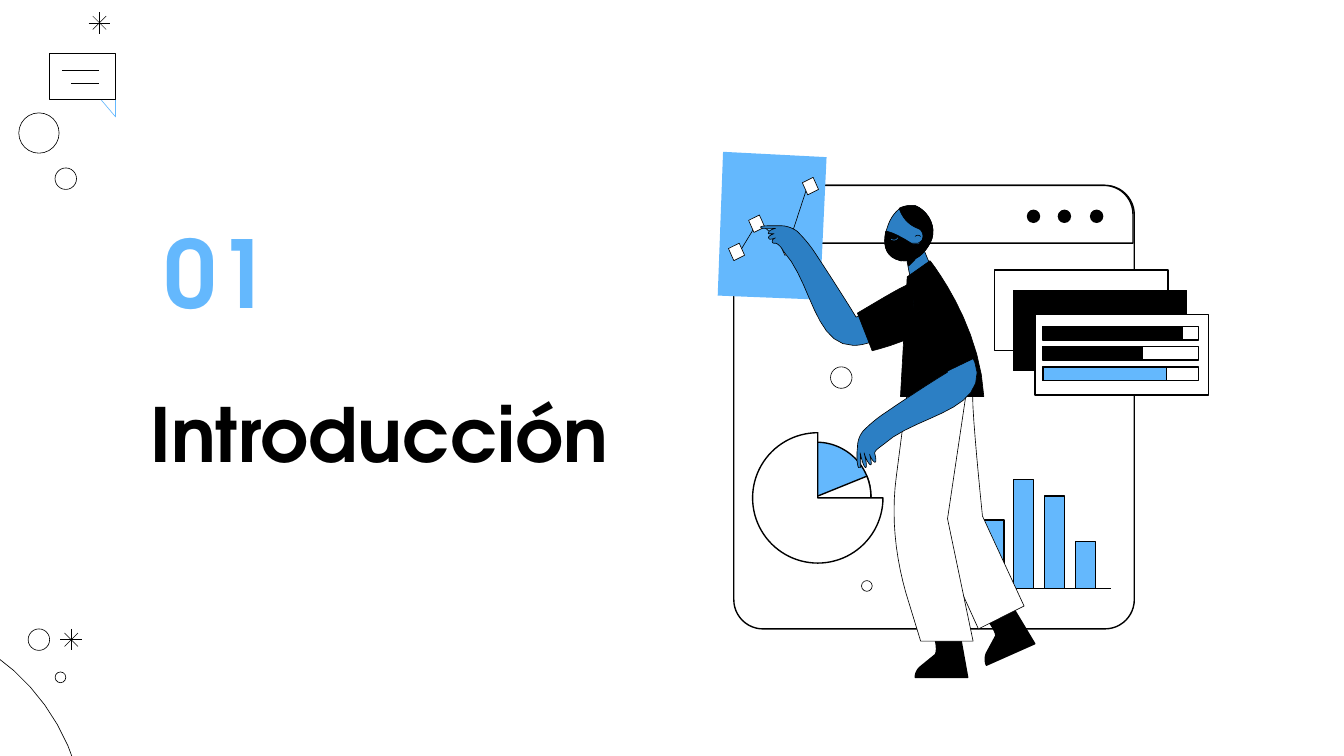
"""Builds the "Introducción" section slide with its analyst illustration."""
from lxml import etree
from pptx import Presentation
from pptx import util as u
from pptx.dml import color
from pptx.enum import shapes, text
from pptx.oxml import ns

BLACK, WHITE, SKY, SKIN = "000000", "FFFFFF", "64B8FD", "2C7FC4"
HAIR, THIN, BOLD = 0.25, 0.34, 0.75
KIND = shapes.MSO_SHAPE


def rgb(value):
    return color.RGBColor.from_string(value)


def trace(outline, steps=10):
    """Turn groups of two numbers (line) or six (cubic curve) into points."""
    points = []
    for group in outline.split():
        n = [float(v) for v in group.split(",")]
        if len(n) == 2:
            points.append(tuple(n))
            continue
        start, pulls = points[-1], (n[:2], n[2:4], n[4:])
        for step in range(1, steps + 1):
            t = step / steps
            weights = ((1 - t) ** 3, 3 * t * (1 - t) ** 2, 3 * t * t * (1 - t), t ** 3)
            points.append(tuple(sum(w * p[axis] for w, p in zip(weights, (start, *pulls)))
                                for axis in (0, 1)))
    return [(u.Inches(x), u.Inches(y)) for x, y in points]


class Sketch:
    """Draws styled elements on the current slide."""

    def __init__(self, slide, font="TeX Gyre Adventor"):
        self.slide, self.font = slide, font

    def finish(self, shape, fill, line, width):
        shape.shadow.inherit = False
        if fill:
            shape.fill.solid()
            shape.fill.fore_color.rgb = rgb(fill)
        else:
            shape.fill.background()
        if line:
            shape.line.color.rgb = rgb(line)
            shape.line.width = u.Pt(width)
        else:
            shape.line.fill.background()

    def shape(self, kind, box, fill=None, line=BLACK, width=BOLD, adjust=()):
        shape = self.slide.shapes.add_shape(kind, *map(u.Inches, box))
        for index, value in enumerate(adjust):
            shape.adjustments[index] = value
        self.finish(shape, fill, line, width)

    def circle(self, left, top, size, fill=None, line=BLACK):
        self.shape(KIND.OVAL, (left, top, size, size), fill, line, THIN)

    def outline(self, outline, fill=None, line=BLACK, width=THIN):
        start, *rest = trace(outline)
        builder = self.slide.shapes.build_freeform(*start, scale=1.0)
        builder.add_line_segments(rest, close=fill is not None)
        self.finish(builder.convert_to_shape(), fill, line, width)

    def line(self, x1, y1, x2, y2, width=THIN):
        line = self.slide.shapes.add_connector(
            shapes.MSO_CONNECTOR.STRAIGHT, *map(u.Inches, (x1, y1, x2, y2)))
        line.line.color.rgb = rgb(BLACK)
        line.line.width = u.Pt(width)
        etree.SubElement(line._element.spPr, ns.qn("a:effectLst"))

    def star(self, x, y):
        for dx, dy in ((0, 0.08), (0.08, 0), (0.05, 0.05), (0.05, -0.05)):
            self.line(x - dx, y - dy, x + dx, y + dy, HAIR)

    def heading(self, words, box, size, ink, align):
        frame = self.slide.shapes.add_textbox(*map(u.Inches, box)).text_frame
        frame.word_wrap = True
        frame.vertical_anchor = text.MSO_ANCHOR.MIDDLE
        frame.margin_left = frame.margin_right = u.Inches(0.1)
        frame.margin_top = frame.margin_bottom = u.Inches(0.1)
        paragraph = frame.paragraphs[0]
        paragraph.alignment = align
        run = paragraph.add_run()
        run.text = words
        run.font.name, run.font.size, run.font.bold = self.font, u.Pt(size), True
        run.font.color.rgb = rgb(ink)


def draw_margin(sketch):
    for left, top, size in ((0.21, 4.68, 0.16), (0.41, 5, 0.08),
                            (0.41, 1.25, 0.16), (0.14, 0.84, 0.3)):
        sketch.circle(left, top, size)
    sketch.star(0.53, 4.76)
    sketch.star(0.74, 0.17)
    sketch.outline("0.63,6.05 0.59,5.47,0.2,4.93,-0.33,4.72")
    sketch.outline("0.86,0.87 0.75,0.74 0.86,0.74 0.86,0.87", line=SKY)
    sketch.shape(KIND.RECTANGLE, (0.37, 0.4, 0.49, 0.34), width=THIN)
    sketch.line(0.46, 0.52, 0.74, 0.52)
    sketch.line(0.53, 0.62, 0.74, 0.62)


def draw_window(sketch):
    sketch.shape(KIND.ROUNDED_RECTANGLE, (5.46, 1.38, 2.98, 3.3), WHITE, adjust=(0.073,))
    sketch.shape(KIND.ROUND_2_SAME_RECTANGLE, (5.45, 1.38, 2.98, 0.43), WHITE, adjust=(0.5, 0))
    for left in (7.64, 7.87, 8.11):
        sketch.circle(left, 1.56, 0.1, BLACK, None)

    floor = 4.38
    sketch.outline(f"7.19,3.41 7.19,{floor} 8.27,{floor}", width=BOLD)
    for left, height in ((7.32, 0.51), (7.54, 0.81), (7.77, 0.69), (8, 0.35)):
        sketch.shape(KIND.RECTANGLE, (left, floor - height, 0.15, height), SKY)

    sketch.outline("5.38,1.13 5.34,2.2 6.1,2.23 6.15,1.17", SKY, None)
    sketch.outline("5.5,1.88 5.64,1.65 5.86,1.84 6.01,1.38")
    for x, y in ((5.42, 1.81), (5.57, 1.6), (5.8, 1.77), (5.97, 1.32)):
        corners = ((0.08, 0), (0, 0.04), (0.04, 0.13), (0.12, 0.09))
        sketch.outline(" ".join(f"{x + dx:.2f},{y + dy:.2f}" for dx, dy in corners), WHITE)

    for left, top, size, fill, angles in (
            (5.67, 3.29, 0.81, SKY, (156.927, 36.804)),
            (5.67, 3.29, 0.81, WHITE, (202.791, 36.804)),
            (5.6, 3.22, 0.97, WHITE, (0, 162))):
        sketch.shape(KIND.PIE, (left, top, size, size), fill, adjust=angles)

    for left, top, fill in ((7.4, 2.01, WHITE), (7.54, 2.16, BLACK), (7.7, 2.34, WHITE)):
        sketch.shape(KIND.RECTANGLE, (left, top, 1.29, 0.6), fill)
    for index, (done, fill) in enumerate(((1.04, BLACK), (0.74, BLACK), (0.92, SKY))):
        for width, shade in ((1.16, WHITE), (done, fill)):
            sketch.shape(KIND.RECTANGLE, (7.76, 2.43 + 0.15 * index, width, 0.1), shade)

    sketch.circle(6.18, 2.73, 0.16)
    sketch.circle(6.41, 4.32, 0.08)


def draw_analyst(sketch):
    far_shoe = ("7.49,4.44 7.3,4.55 7.3,4.55,7.41,4.68,7.41,4.73 7.34,4.86 "
                "7.32,4.91,7.34,4.95,7.34,4.95 7.7,4.79")
    far_leg = "6.98,2.91 6.94,3.93 7.28,4.68 7.62,4.51 7.31,3.84 7.31,3.84,7.22,2.97,7.24,2.91"
    near_shoe = ("7.13,4.65 6.93,4.66 6.93,4.66,6.99,4.82,6.96,4.87 6.85,4.96 "
                 "6.81,4.99,6.81,5.04,6.81,5.04 7.2,5.04")
    near_leg = ("6.75,2.92 6.67,3.54 6.63,3.83,6.66,4.13,6.74,4.41 6.85,4.77 7.24,4.77 "
                "7.05,3.86 7.19,2.92")
    neck = "6.85,1.8 6.74,1.9 6.79,2.16 6.99,2.14"
    neck_shade = "6.81,1.93 6.75,1.93 6.76,1.98"
    skull = ("6.74,1.94 6.81,1.94,6.87,1.9,6.92,1.81 6.98,1.7,6.91,1.57,6.81,1.53 "
             "6.79,1.53,6.78,1.53,6.77,1.53")
    head = ("6.77,1.53 6.69,1.53,6.63,1.6,6.6,1.7 6.58,1.76,6.55,1.9,6.7,1.94 "
            f"6.72,1.94,6.73,1.94,{skull}")
    hair = ("6.77,1.53 6.74,1.53,6.71,1.54,6.69,1.55 6.71,1.61,6.75,1.67,6.83,1.7 "
            "6.89,1.72,6.87,1.82,6.82,1.82 6.81,1.82,6.79,1.82,6.78,1.81 "
            "6.78,1.81,6.66,1.73,6.59,1.72 6.58,1.78,6.56,1.91,6.7,1.94 "
            f"6.72,1.94,6.73,1.94,{skull}")
    mouth = "6.63,1.78 6.63,1.78,6.66,1.8,6.68,1.77"
    ear = ("6.78,1.81 6.8,1.81,6.81,1.81,6.83,1.81 6.87,1.79,6.89,1.76,6.88,1.73 "
           "6.87,1.71,6.85,1.7,6.83,1.7")
    ear_fold = "6.81,1.76 6.81,1.76,6.83,1.74,6.85,1.76"
    raised_arm = (
        "5.76,1.68 5.71,1.68,5.66,1.68,5.66,1.69 5.66,1.7,5.68,1.7,5.71,1.7 5.77,1.7 "
        "5.77,1.7,5.72,1.71,5.72,1.73 5.71,1.74,5.72,1.74,5.73,1.74 5.76,1.74 "
        "5.75,1.74,5.71,1.76,5.72,1.77 5.72,1.77,5.72,1.78,5.73,1.78 "
        "5.75,1.78,5.77,1.77,5.77,1.77 5.74,1.78,5.74,1.81,5.76,1.81 5.77,1.81 "
        "5.78,1.81,5.81,1.83,5.83,1.87 6.04,2.1,6.06,2.57,6.35,2.57 "
        "6.4,2.57,6.43,2.56,6.47,2.55 6.92,2.36 6.96,2.35,6.99,2.32,7.01,2.27 "
        "7.03,2.21,7,2.17,6.96,2.14 6.93,2.12,6.9,2.11,6.87,2.11 "
        "6.84,2.11,6.82,2.12,6.79,2.13 6.37,2.36 6.23,2.13,6.05,1.86,6.05,1.86 "
        "6,1.79,5.96,1.75,5.93,1.72 5.9,1.7,5.86,1.68,5.81,1.68")
    far_sleeve = ("6.92,2.07 6.8,2.07,6.62,2.19,6.38,2.33 6.49,2.61 "
                  "6.49,2.61,7.1,2.47,7.05,2.21 7.03,2.11,6.98,2.07,6.92,2.07")
    shirt = "6.92,1.94 6.75,2.06 6.7,2.95 7.32,2.95 7.29,2.4,6.92,1.94,6.92,1.94"
    lowered_arm = (
        "6.92,2.12 6.88,2.12,6.85,2.15,6.82,2.18 6.79,2.23,6.79,2.29,6.82,2.34 7.05,2.77 "
        "6.82,2.91,6.56,3.09,6.56,3.09 6.49,3.14,6.45,3.18,6.42,3.21 "
        "6.39,3.25,6.38,3.29,6.38,3.33 6.37,3.4,6.38,3.48,6.39,3.48 6.4,3.48 "
        "6.41,3.48,6.4,3.37,6.4,3.37 6.4,3.37,6.42,3.47,6.44,3.48 "
        "6.46,3.48,6.43,3.38,6.43,3.37 6.43,3.38,6.46,3.46,6.48,3.46 "
        "6.49,3.45,6.47,3.38,6.47,3.38 6.48,3.41,6.5,3.44,6.51,3.44 "
        "6.52,3.44,6.52,3.42,6.51,3.38 6.5,3.36,6.53,3.34,6.57,3.31 "
        "6.8,3.1,7.28,3.07,7.27,2.77 7.26,2.74,7.26,2.7,7.24,2.67 7.05,2.21 "
        "7.03,2.17,7,2.14,6.95,2.13 6.94,2.12,6.93,2.12,6.92,2.12")
    near_sleeve = ("6.91,2.1 6.9,2.1,6.88,2.1,6.87,2.11 6.66,2.22,6.97,2.8,6.97,2.8 "
                   "7.24,2.67 7.24,2.67,7.1,2.1,6.91,2.1")
    for part, fill, line, width in (
            (far_shoe, BLACK, BLACK, BOLD), (far_leg, WHITE, BLACK, THIN),
            (near_shoe, BLACK, BLACK, BOLD), (near_leg, WHITE, BLACK, THIN),
            (neck, SKIN, BLACK, THIN), (neck_shade, BLACK, BLACK, THIN),
            (head, SKIN, BLACK, THIN), (hair, BLACK, BLACK, THIN),
            (mouth, None, SKIN, THIN), (ear, None, BLACK, THIN),
            (ear_fold, None, BLACK, THIN), (raised_arm, SKIN, BLACK, THIN),
            (far_sleeve, BLACK, BLACK, THIN), (shirt, BLACK, BLACK, THIN),
            (lowered_arm, SKIN, BLACK, THIN), (near_sleeve, BLACK, BLACK, THIN)):
        sketch.outline(part, fill, line, width)


def main():
    deck = Presentation()
    deck.slide_width, deck.slide_height = u.Inches(10), u.Inches(5.625)
    sketch = Sketch(deck.slides.add_slide(deck.slide_layouts[6]))
    draw_margin(sketch)
    sketch.heading("Introducción", (1.02, 2.44, 3.81, 1.56), 40, BLACK, text.PP_ALIGN.LEFT)
    sketch.heading("01", (1.02, 1.62, 1.19, 0.8), 50, SKY, text.PP_ALIGN.CENTER)
    draw_window(sketch)
    draw_analyst(sketch)
    deck.save("out.pptx")


if __name__ == "__main__":
    main()
